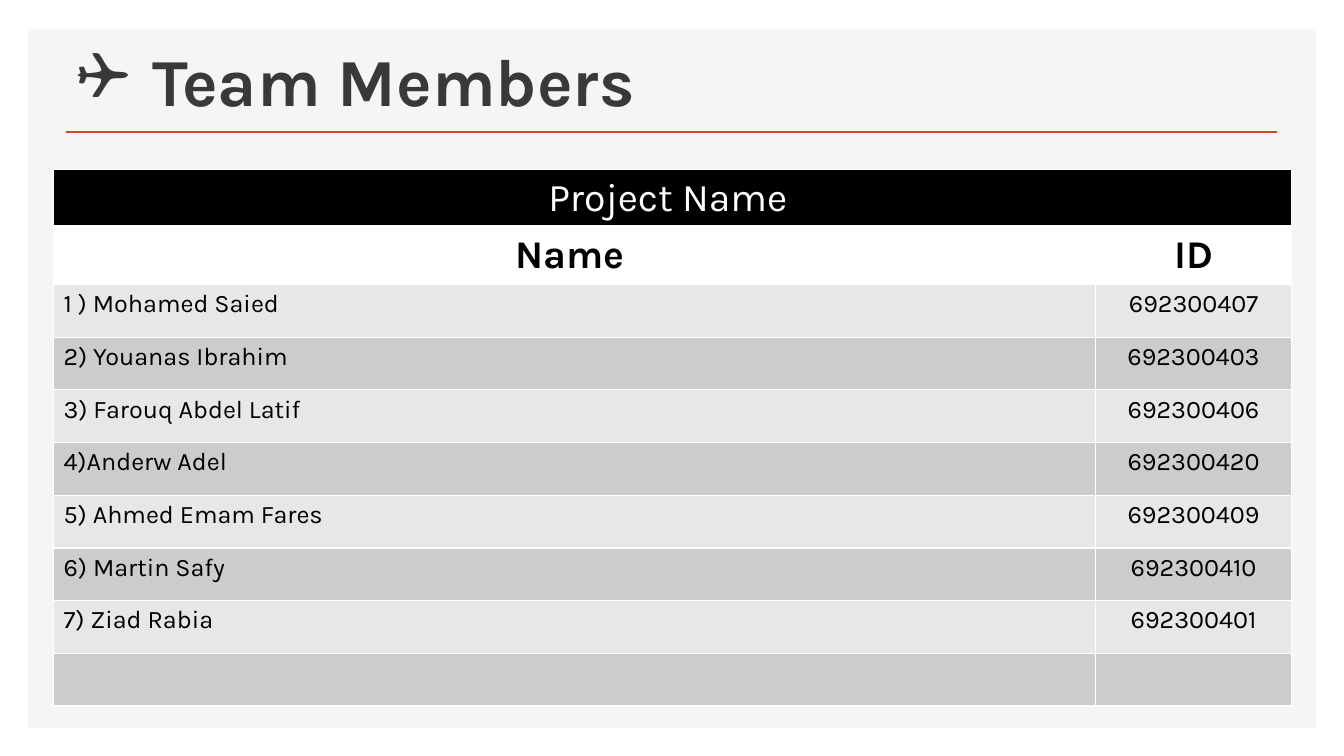
from lxml.etree import SubElement
from pptx import Presentation
from pptx.dml.color import RGBColor
from pptx.enum.shapes import MSO_CONNECTOR as Connector, MSO_SHAPE as Shape
from pptx.enum.text import MSO_ANCHOR as Anchor, PP_ALIGN as Align
from pptx.oxml.ns import qn
from pptx.util import Pt

FONT = "Karla"
MEMBERS = [
    ("1 ) Mohamed Saied", "692300407"),
    ("2) Youanas Ibrahim", "692300403"),
    ("3) Farouq Abdel Latif", "692300406"),
    ("4)Anderw Adel", "692300420"),
    ("5) Ahmed Emam Fares", "692300409"),
    ("6) Martin Safy", "692300410"),
    ("7) Ziad Rabia", "692300401"),
    ("", ""),
]


def set_color(target, color):
    """Apply a hex colour to a fill or a font."""
    if hasattr(target, "solid"):
        target.solid()
        target.fore_color.rgb = RGBColor.from_string(color)
    else:
        target.color.rgb = RGBColor.from_string(color)


def format_font(font, size, color, bold=False):
    """Set the family, size, colour and weight of a font."""
    font.name, font.size, font.bold = FONT, Pt(size), bold
    set_color(font, color)


def add_panel(slide, left, top, width, height):
    """Draw the pale panel behind the content."""
    panel = slide.shapes.add_shape(Shape.RECTANGLE, Pt(left), Pt(top), Pt(width), Pt(height))
    panel.shadow.inherit = False
    set_color(panel.fill, "F5F5F5")
    panel.line.fill.background()


def add_title(slide, left, top, width, height):
    """Draw the bulleted title and the rule under it."""
    rule_top = top + height - 10
    rule = slide.shapes.add_connector(
        Connector.STRAIGHT, Pt(left), Pt(rule_top), Pt(left + width), Pt(rule_top))
    set_color(rule.line.fill, "D24726")
    rule.line.width = Pt(2)
    SubElement(rule._element.spPr, qn("a:effectLst"))

    box = slide.shapes.add_textbox(Pt(left), Pt(top), Pt(width), Pt(height))
    frame = box.text_frame
    frame.word_wrap = True
    frame.vertical_anchor = Anchor.MIDDLE
    frame.text = "Team Members"
    paragraph = frame.paragraphs[0]
    paragraph.line_spacing = 0.9
    properties = paragraph._p.get_or_add_pPr()
    properties.set("marL", str(Pt(54)))
    properties.set("indent", str(-Pt(54)))
    SubElement(properties, qn("a:buFont"), typeface="Wingdings")
    SubElement(properties, qn("a:buChar"), char="❑")
    format_font(paragraph.runs[0].font, 48, "3B3838", True)


def add_borders(cell, bottom_width):
    """Give a cell white borders, with its own bottom width."""
    properties = cell._tc.get_or_add_tcPr()
    for side, width in (("L", 1), ("R", 1), ("T", 1), ("B", bottom_width)):
        line = SubElement(properties, qn(f"a:ln{side}"), w=str(Pt(width)))
        fill = SubElement(line, qn("a:solidFill"))
        SubElement(fill, qn("a:srgbClr"), val="FFFFFF")


def fill_cell(cell, text, fill, size=18, color="000000", bold=False,
              align=Align.CENTER, anchor=Anchor.TOP, bottom_width=1):
    """Write and format one table cell."""
    add_borders(cell, bottom_width)
    set_color(cell.fill, fill)
    cell.vertical_anchor = anchor
    cell.text_frame.text = text
    paragraph = cell.text_frame.paragraphs[0]
    paragraph.alignment = align
    format_font(paragraph.font, size, color, bold)
    for run in paragraph.runs:
        format_font(run.font, size, color, bold)


def add_members_table(slide, left, top, width, height):
    """Draw the table of names and IDs."""
    id_width, header_height, header_rows = 139.5, 41, 2
    table = slide.shapes.add_table(
        len(MEMBERS) + header_rows, 2, Pt(left), Pt(top), Pt(width), Pt(height)).table
    table.columns[0].width = Pt(width - id_width)
    table.columns[1].width = Pt(id_width)
    member_height = (height - header_rows * header_height) / len(MEMBERS)
    for index, row in enumerate(table.rows):
        row.height = Pt(header_height if index < header_rows else member_height)

    table.cell(0, 0).merge(table.cell(0, 1))
    for column in range(2):
        fill_cell(table.cell(0, column), ("Project Name ", "")[column], "000000", 28,
                  "FFFFFF", anchor=Anchor.MIDDLE, bottom_width=3)
        fill_cell(table.cell(1, column), ("Name ", "ID")[column], "FFFFFF", 28,
                  bold=True, anchor=Anchor.MIDDLE)
    for index, (name, number) in enumerate(MEMBERS):
        fill = ("E7E7E7", "CCCCCC")[index % 2]
        row = index + header_rows
        fill_cell(table.cell(row, 0), name, fill, align=Align.LEFT)
        fill_cell(table.cell(row, 1), number, fill)


def main():
    """Build the team slide and save it."""
    presentation = Presentation()
    presentation.slide_width, presentation.slide_height = Pt(960), Pt(540)
    slide = presentation.slides.add_slide(presentation.slide_layouts[6])
    add_panel(slide, 20, 21, 920, 499)
    add_title(slide, 47.5, 17.3, 865, 87)
    add_members_table(slide, 38.3, 121.2, 884, 383.2)
    presentation.save("out.pptx")


if __name__ == "__main__":
    main()
